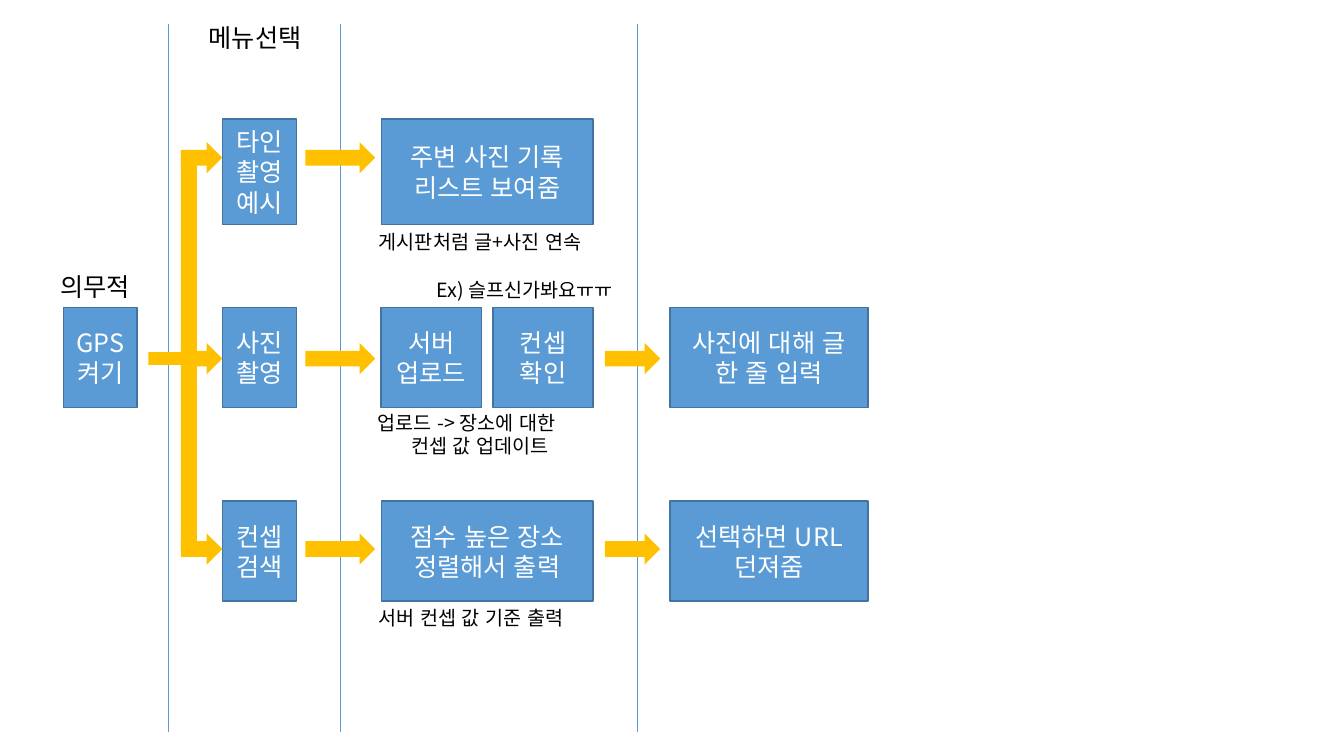
"""Build the slide that maps the photo app's screen flow."""
from dataclasses import dataclass
from itertools import product

from lxml.etree import SubElement
from pptx import Presentation
from pptx.dml.color import RGBColor
from pptx.enum.lang import MSO_LANGUAGE_ID
from pptx.enum.shapes import MSO_CONNECTOR, MSO_SHAPE
from pptx.enum.text import MSO_ANCHOR, MSO_AUTO_SIZE, PP_ALIGN
from pptx.oxml.ns import qn
from pptx.shapes.autoshape import Shape
from pptx.slide import Slide
from pptx.text.text import TextFrame
from pptx.util import Pt

FONT = "Noto Sans CJK KR"
HUES = {"box": "5B9BD5", "edge": "43739E", "arrow": "FFC000",
        "light": "FFFFFF", "dark": "000000"}


@dataclass
class Area:
    """A place on the slide, in points."""
    left: float
    top: float
    width: float
    height: float


@dataclass
class Step:
    """A box of the flow."""
    text: str
    area: Area


@dataclass
class Note:
    """A caption beside a box."""
    text: str
    area: Area
    size: int = 14
    inset: int = 0


@dataclass
class Row:
    """A lane of the flow: box top, box height and arrow top."""
    top: float
    height: float
    arrow: float


TOP, MID, LOW = ROWS = [Row(85, 75.5, 101.5), Row(219.6, 71.3, 245),
                        Row(358, 71.3, 381)]


def cell(text: str, row: Row, left: float, width: float) -> Step:
    """Place a step in a lane."""
    return Step(text, Area(left, row.top, width, row.height))


STEPS = [
    cell("GPS켜기", MID, 45.2, 52.8),
    cell("타인촬영예시", TOP, 159, 52.8),
    cell("사진촬영", MID, 159, 52.8),
    cell("컨셉검색", LOW, 159, 52.8),
    cell("주변 사진 기록 리스트 보여줌", TOP, 272.3, 151.4),
    cell("서버 업로드", MID, 272.3, 71.5),
    cell("컨셉 확인", MID, 352.2, 71.5),
    cell("점수 높은 장소 정렬해서 출력", LOW, 272.3, 151.4),
    cell("사진에 대해 글 한 줄 입력", MID, 478.6, 141.4),
    cell("선택하면 URL던져줌", LOW, 478.6, 141.4),
]
NOTES = [
    Note("의무적", Area(36, 190.3, 69, 29), 18),
    Note("메뉴선택", Area(142, 12.4, 87, 29), 18),
    Note("게시판처럼 글+사진 연속", Area(263.5, 160.6, 175.5, 24.3)),
    Note("업로드 -> 장소에 대한\n컨셉 값 업데이트",
         Area(262.6, 289.7, 162.6, 41.2), inset=24),
    Note("Ex) 슬프신가봐요ㅠㅠ", Area(304.6, 195.3, 150.6, 24.3)),
    Note("서버 컨셉 값 기준 출력", Area(263.5, 429.2, 161.4, 24.3)),
]
RULES = [120.4, 243.3, 455.3]
BARS = [Area(106, 251.5, 38, 9.2), Area(129.2, 108, 11.5, 285)]
HEADS = [*product(ROWS, [(129.2, 29.6), (218.2, 49.8)]),
         *product([MID, LOW], [(432, 39.6)])]


def tint(name: str) -> RGBColor:
    """Look up a colour."""
    return RGBColor.from_string(HUES[name])


def style(frame: TextFrame, size: int, hue: str) -> None:
    """Format every run of a text frame."""
    for para in frame.paragraphs:
        for run in para.runs:
            font = run.font
            font.size, font.name = Pt(size), FONT
            font.color.rgb = tint(hue)
            font.language_id = MSO_LANGUAGE_ID.KOREAN
            SubElement(run._r.get_or_add_rPr(), qn("a:ea"), typeface=FONT)


def block(slide: Slide, kind: MSO_SHAPE, area: Area, hue: str) -> Shape:
    """Draw a filled shape with no outline."""
    shape = slide.shapes.add_shape(kind, Pt(area.left), Pt(area.top),
                                   Pt(area.width), Pt(area.height))
    shape.shadow.inherit = False
    shape.fill.solid()
    shape.fill.fore_color.rgb = tint(hue)
    shape.line.fill.background()
    return shape


def draw_step(slide: Slide, step: Step) -> None:
    """Draw a labelled box."""
    shape = block(slide, MSO_SHAPE.RECTANGLE, step.area, "box")
    shape.line.color.rgb = tint("edge")
    shape.line.width = Pt(1)
    frame = shape.text_frame
    frame.text = step.text
    frame.word_wrap = True
    frame.vertical_anchor = MSO_ANCHOR.MIDDLE
    frame.paragraphs[0].alignment = PP_ALIGN.CENTER
    style(frame, 18, "light")


def draw_note(slide: Slide, note: Note) -> None:
    """Draw a caption, with its later lines indented."""
    area = note.area
    frame = slide.shapes.add_textbox(Pt(area.left), Pt(area.top), Pt(area.width),
                                     Pt(area.height)).text_frame
    frame.text = note.text
    frame.word_wrap = False
    frame.auto_size = MSO_AUTO_SIZE.SHAPE_TO_FIT_TEXT
    for para in frame.paragraphs[1:]:
        para._p.get_or_add_pPr().set("marL", str(Pt(note.inset)))
    style(frame, note.size, "dark")


def draw_rule(slide: Slide, left: float) -> None:
    """Draw a thin line between two stages."""
    rule = slide.shapes.add_connector(MSO_CONNECTOR.STRAIGHT, Pt(left), Pt(16.9),
                                      Pt(left), Pt(522.7))
    rule.line.color.rgb = tint("box")
    rule.line.width = Pt(0.5)
    SubElement(rule._element.spPr, qn("a:effectLst"))


def main() -> None:
    """Draw the slide and save it."""
    deck = Presentation()
    deck.slide_width, deck.slide_height = Pt(960), Pt(540)
    slide = deck.slides.add_slide(deck.slide_layouts[6])
    for left in RULES:
        draw_rule(slide, left)
    for step in STEPS:
        draw_step(slide, step)
    for note in NOTES:
        draw_note(slide, note)
    for bar in BARS:
        block(slide, MSO_SHAPE.RECTANGLE, bar, "arrow")
    for row, (left, width) in HEADS:
        block(slide, MSO_SHAPE.RIGHT_ARROW, Area(left, row.arrow, width, 22.3), "arrow")
    deck.save("out.pptx")


if __name__ == "__main__":
    main()
